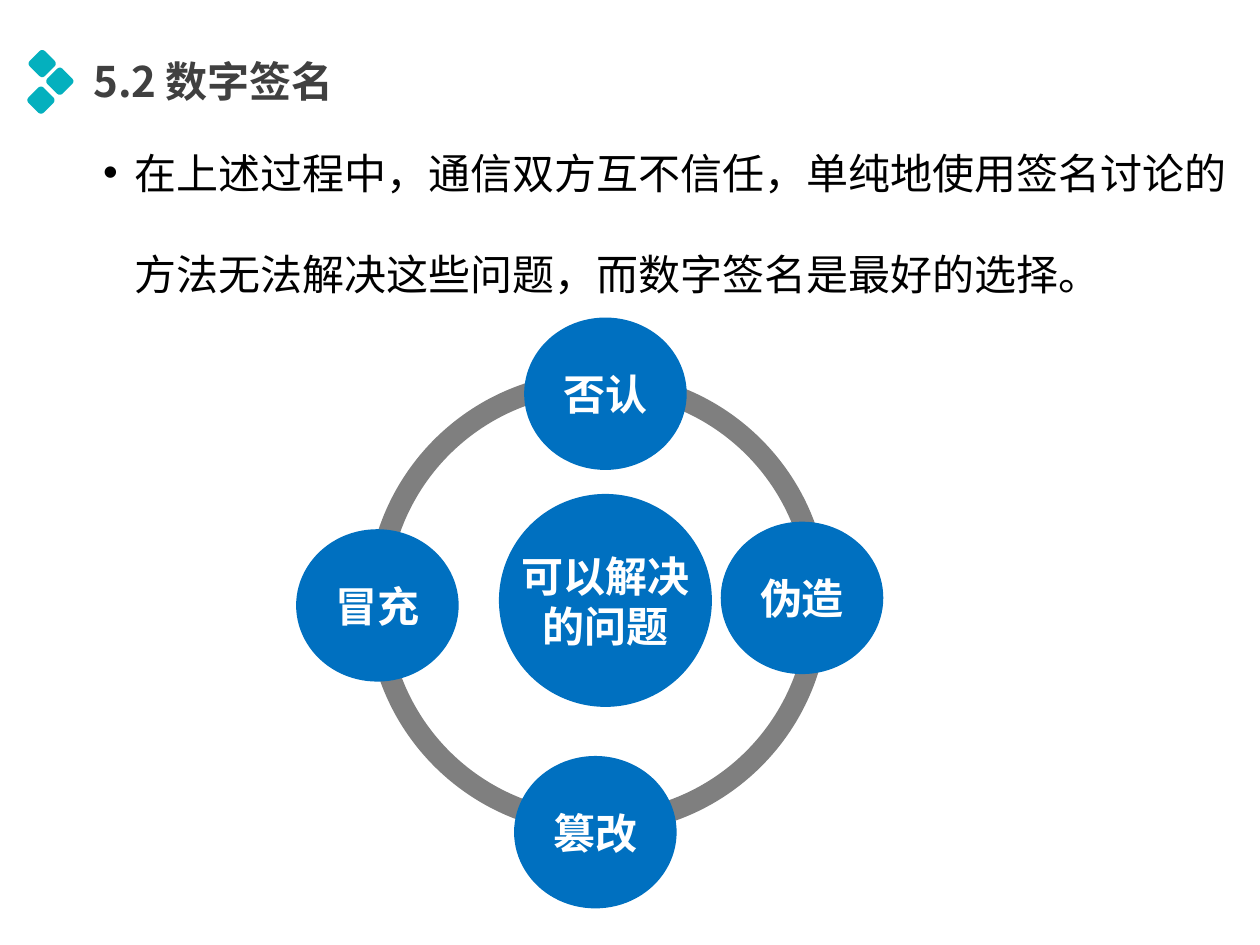
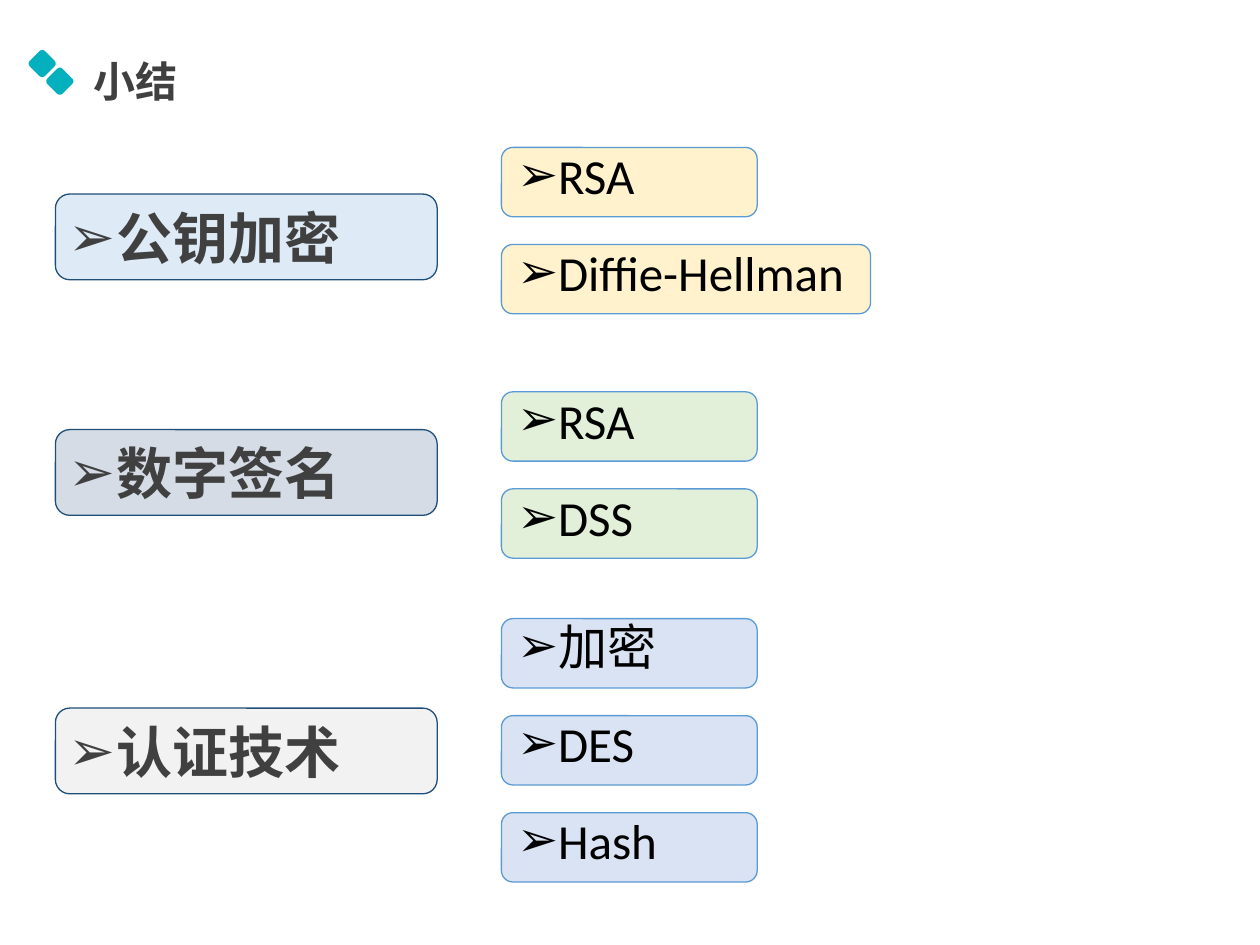
from dataclasses import dataclass

import pptx
import pptx.dml.color
import pptx.enum.shapes
import pptx.enum.text
import pptx.oxml
import pptx.oxml.ns
import pptx.util
from pptx.util import Inches

KIND = pptx.enum.shapes.MSO_SHAPE
ALIGN = pptx.enum.text.PP_ALIGN
ANCHOR = pptx.enum.text.MSO_ANCHOR


@dataclass(frozen=True)
class Theme:
    teal: str = "04B0BE"
    blue: str = "0070C0"
    gray: str = "7F7F7F"
    dark: str = "404040"
    black: str = "000000"
    white: str = "FFFFFF"
    navy: str = "1F4E79"
    sky: str = "5B9BD5"
    head: str = "Noto Sans CJK SC"
    body: str = "Arial"
    latin: str = "Calibri"
    normal: int = 24
    chip: int = 28
    label: int = 32
    thin: float = 0.75


def rgb(code):
    return pptx.dml.color.RGBColor.from_string(code)


def tag(parent, name, **attrs):
    """Append a DrawingML element to parent."""
    node = parent.makeelement(pptx.oxml.ns.qn("a:" + name), attrs)
    parent.append(node)


def write(shape, text, size, color, font, bold=False, align=ALIGN.LEFT,
          anchor=ANCHOR.TOP, pad=(0.1, 0.05), wrap=True,
          bullet=None, left=0, hang=0, space=None):
    """Fill a shape with one formatted paragraph; a newline breaks the line."""
    frame = shape.text_frame
    frame.auto_size = pptx.enum.text.MSO_AUTO_SIZE.NONE
    frame.word_wrap = wrap
    frame.vertical_anchor = anchor
    frame.margin_left = frame.margin_right = Inches(pad[0])
    frame.margin_top = frame.margin_bottom = Inches(pad[1])
    para = frame.paragraphs[0]
    if bullet:
        props = para._p.get_or_add_pPr()
        props.set("marL", str(Inches(left)))
        props.set("indent", str(-Inches(hang)))
        tag(props, "buFont", typeface="Arial")
        tag(props, "buChar", char=bullet)
    para.alignment = align
    if space:
        para.line_spacing = space
    for num, line in enumerate(text.split("\n")):
        if num:
            para.add_line_break()
        run = para.add_run()
        run.text = line
        run.font.size = pptx.util.Pt(size)
        run.font.bold = bold
        run.font.color.rgb = rgb(color)
        run.font.name = font
        tag(run._r.get_or_add_rPr(), "ea", typeface=font)


class Deck:
    def __init__(self, theme):
        self.theme = theme
        self.show = pptx.Presentation()
        self.show.slide_width = Inches(10)
        self.show.slide_height = Inches(7.5)
        self.slide = None

    def page(self, title, marks):
        """Start a slide with its title and teal diamonds."""
        look = self.theme
        self.slide = self.show.slides.add_slide(self.show.slide_layouts[5])
        for x, y in marks:
            gem = self.shape(KIND.ROUNDED_RECTANGLE, x - 0.08, y - 0.08,
                             0.17, 0.17, look.teal)
            gem.adjustments[0] = 0.17
            gem.rotation = 45
        head = self.slide.shapes.title
        head.left, head.top = Inches(0.67), Inches(0.4)
        head.width, head.height = Inches(3.03), Inches(0.48)
        write(head, title, look.normal, look.dark, look.head, bold=True,
              anchor=ANCHOR.MIDDLE, pad=(0.07, 0.04))

    def shape(self, kind, x, y, w, h, fill, line=None):
        item = self.slide.shapes.add_shape(
            kind, Inches(x), Inches(y), Inches(w), Inches(h))
        item.shadow.inherit = False
        item.fill.solid()
        item.fill.fore_color.rgb = rgb(fill)
        if line:
            item.line.color.rgb = rgb(line)
            item.line.width = pptx.util.Pt(self.theme.thin)
        else:
            item.line.fill.background()
        return item

    def point(self, text, x, y, w, h):
        look = self.theme
        box = self.slide.shapes.add_textbox(
            Inches(x), Inches(y), Inches(w), Inches(h))
        write(box, text, look.normal, look.black, look.body,
              bullet="•", left=0.75, hang=0.25, space=2)

    def disc(self, text, x, y, w, h):
        look = self.theme
        item = self.shape(KIND.OVAL, x, y, w, h, look.blue)
        write(item, text, look.normal, look.white, look.body, bold=True,
              align=ALIGN.CENTER, anchor=ANCHOR.MIDDLE, wrap=False)

    def ring(self, x, y, size, thick):
        item = self.shape(KIND.DONUT, x, y, size, size, self.theme.gray)
        item.adjustments[0] = thick / size

    def label(self, text, y, fill):
        look = self.theme
        item = self.shape(KIND.ROUNDED_RECTANGLE, 0.44, y, 3.03, 0.68,
                          fill, look.navy)
        write(item, text, look.label, look.dark, look.head, bold=True,
              anchor=ANCHOR.MIDDLE, pad=(0.07, 0.04),
              bullet="➢", left=0.38, hang=0.38)

    def chip(self, text, y, w, fill):
        look = self.theme
        item = self.shape(KIND.ROUNDED_RECTANGLE, 3.98, y, w, 0.55,
                          fill, look.sky)
        write(item, text, look.chip, look.black, look.latin,
              bullet="➢", left=0.25, hang=0.25, space=0.8)


MARKS = [(0.33, 0.5), (0.47, 0.64), (0.32, 0.79)]


def issues(deck):
    deck.page("5.2 数字签名", MARKS)
    deck.point("在上述过程中，通信双方互不信任，单纯地使用签名讨论的方法"
               "无法解决这些问题，而数字签名是最好的选择。",
               0.22, 0.72, 9.65, 2.13)
    deck.disc("可以解决\n的问题", 3.96, 3.92, 1.69, 1.69)
    deck.ring(2.91, 2.95, 3.67, 0.17)
    for text, x, y in [("否认", 4.16, 2.52), ("伪造", 5.72, 4.14),
                       ("篡改", 4.08, 6), ("冒充", 2.35, 4.2)]:
        deck.disc(text, x, y, 1.29, 1.21)


def recap(deck):
    deck.page("小结", MARKS[:2])
    groups = [
        ("公钥加密", 1.54, "DEEBF7", 1.17, "FFF2CC", ["RSA", "Diffie-Hellman"]),
        ("数字签名", 3.41, "D6DCE5", 3.11, "E2F0D9", ["RSA", "DSS"]),
        ("认证技术", 5.62, "F2F2F2", 4.91, "DAE3F3", ["加密", "DES", "Hash"]),
    ]
    for name, y, fill, top, tint, chips in groups:
        deck.label(name, y, fill)
        for row, text in enumerate(chips):
            wide = 2.93 if len(text) > 8 else 2.03
            deck.chip(text, top + row * 0.77, wide, tint)


def main():
    deck = Deck(Theme())
    issues(deck)
    recap(deck)
    deck.show.save("out.pptx")


if __name__ == "__main__":
    main()
